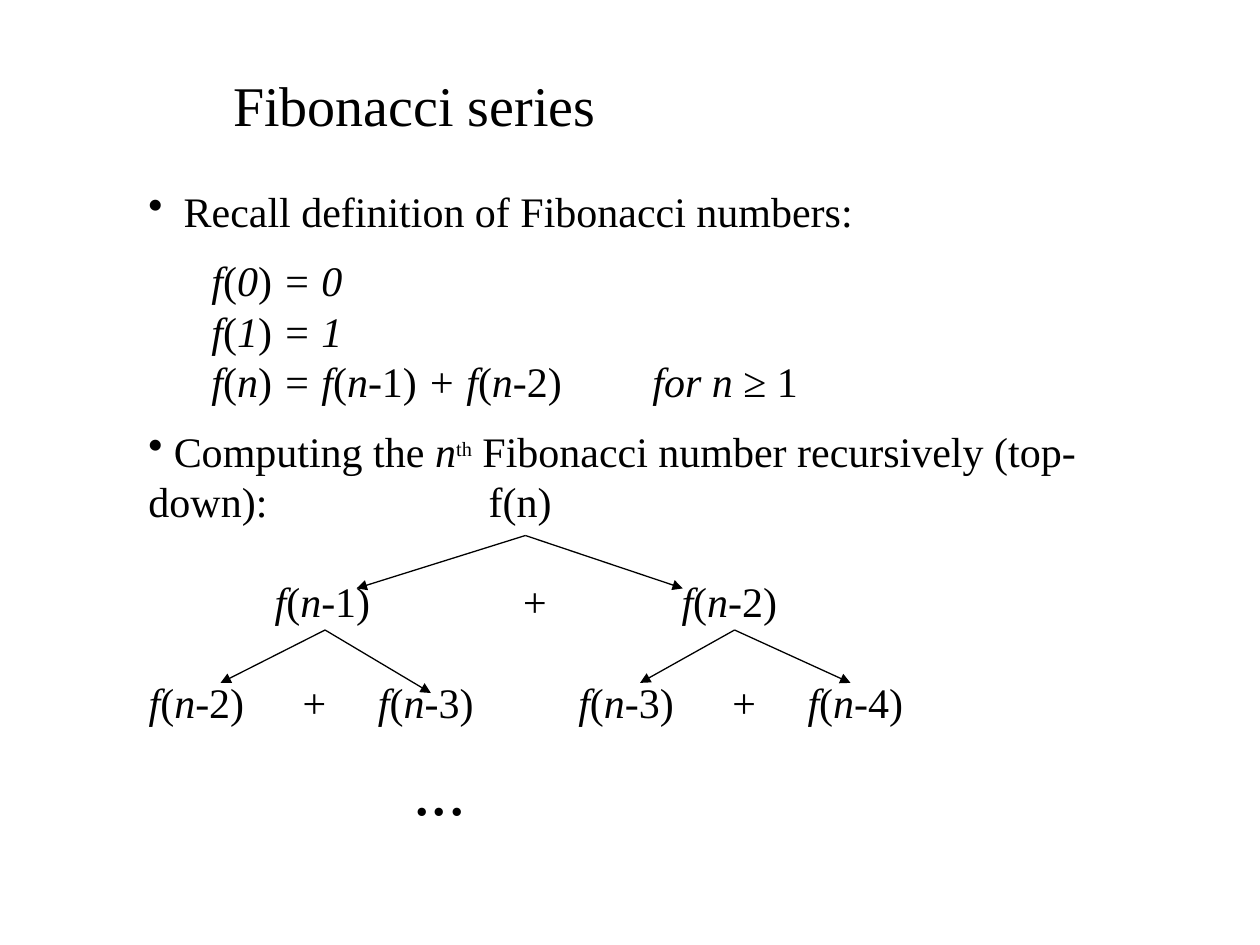
import pptx
import pptx.util
import pptx.dml.color
import pptx.enum.shapes
import pptx.enum.text
from lxml import etree
from pptx.oxml.ns import qn

Inches, Pt = pptx.util.Inches, pptx.util.Pt
BLACK = pptx.dml.color.RGBColor(0, 0, 0)
FONT = "Times New Roman"
TITLE = "Fibonacci series"

# In the text, _ switches italics and ^ switches superscript.
# (text, space before, left margin, first indent, bullet, tab stop)
ROWS = [
    ("Recall definition of Fibonacci numbers:", 0, 0.28, -0.28, True, None),
    ("_f_(_0_)_ = 0_", 11, 0.5, 0, False, None),
    ("_f_(_1_)_ = 1_", 0, 0.5, 0, False, None),
    ("_f_(_n_)_ = f_(_n_-1)_ + f_(_n_-2)\t\t_for n _≥ 1",
     0, 0.5, 0, False, None),
    (" Computing the _n_^th^ Fibonacci number recursively (top-down):\tf(n)",
     11, 0, 0, True, 2.7),
]

# (top, size, [(left, text)])
LEVELS = [
    (4.57, 24, [(2.18, "_f_(_n-_1)"), (4.13, "_+_"), (5.41, "_f_(_n-_2)")]),
    (5.37, 24, [(1.18, "_f_(_n-_2)"), (2.38, "_+_"), (3, "_f_(_n-_3)"),
                (4.59, "_f_(_n-_3)"), (5.79, "_+_"), (6.41, "_f_(_n-_4)")]),
    (5.92, 40, [(3.28, "...")]),
]

# parent point, then the tips of its two arrows
FORKS = [
    ((4.17, 4.25), [(2.83, 4.67), (5.42, 4.67)]),
    ((2.58, 5), [(1.75, 5.42), (3.42, 5.5)]),
    ((5.83, 5), [(5.08, 5.42), (6.75, 5.42)]),
]


def style(run, size):
    run.font.name = FONT
    run.font.size = Pt(size)
    run.font.color.rgb = BLACK


def set_para(para, left, indent, bullet, tab):
    """Set margins, bullet and tab stop."""
    props = para._p.get_or_add_pPr()
    props.set("marL", str(Inches(left)))
    props.set("indent", str(Inches(indent)))
    if bullet:
        etree.SubElement(props, qn("a:buChar"), char="•")
    if tab:
        stops = etree.SubElement(props, qn("a:tabLst"))
        etree.SubElement(stops, qn("a:tab"), pos=str(Inches(tab)), algn="l")


def add_runs(para, text, size):
    for i, part in enumerate(text.split("_")):
        for j, piece in enumerate(part.split("^")):
            if not piece:
                continue
            run = para.add_run()
            run.text = piece
            style(run, 20 if j % 2 else size)
            run.font.italic = i % 2 == 1
            if j % 2:
                run.font._element.set("baseline", "30000")


def add_label(slide, left, top, text, size):
    box = slide.shapes.add_textbox(
        Inches(left), Inches(top), Inches(0.8), Inches(size / 60))
    frame = box.text_frame
    frame.margin_left = frame.margin_right = 0
    frame.margin_top = frame.margin_bottom = 0
    frame.word_wrap = True
    add_runs(frame.paragraphs[0], text, size)


def add_arrow(slide, start, end):
    line = slide.shapes.add_connector(
        pptx.enum.shapes.MSO_CONNECTOR.STRAIGHT,
        *(Inches(v) for v in start + end))
    line.line.color.rgb = BLACK
    line.line.width = Pt(0.75)
    etree.SubElement(line.line._get_or_add_ln(), qn("a:tailEnd"), type="triangle")
    etree.SubElement(line._element.spPr, qn("a:effectLst"))


def main():
    deck = pptx.Presentation()
    deck.slide_width, deck.slide_height = Inches(10), Inches(7.5)
    slide = deck.slides.add_slide(deck.slide_layouts[5])

    title = slide.shapes.title
    title.left, title.top = Inches(1.75), Inches(0.51)
    title.width, title.height = Inches(4.41), Inches(0.64)
    title.text_frame.text = TITLE
    title.text_frame.vertical_anchor = pptx.enum.text.MSO_ANCHOR.TOP
    head = title.text_frame.paragraphs[0]
    head.alignment = pptx.enum.text.PP_ALIGN.LEFT
    style(head.runs[0], 32)

    body = slide.shapes.add_textbox(
        Inches(1.08), Inches(1.42), Inches(8.33), Inches(2.85))
    frame = body.text_frame
    frame.word_wrap = True
    for i, (text, before, left, indent, bullet, tab) in enumerate(ROWS):
        para = frame.add_paragraph() if i else frame.paragraphs[0]
        set_para(para, left, indent, bullet, tab)
        if before:
            para.space_before = Pt(before)
        add_runs(para, text, 24)

    for top, size, labels in LEVELS:
        for left, text in labels:
            add_label(slide, left, top, text, size)

    for start, tips in FORKS:
        for tip in tips:
            add_arrow(slide, start, tip)

    deck.save("out.pptx")


if __name__ == "__main__":
    main()
